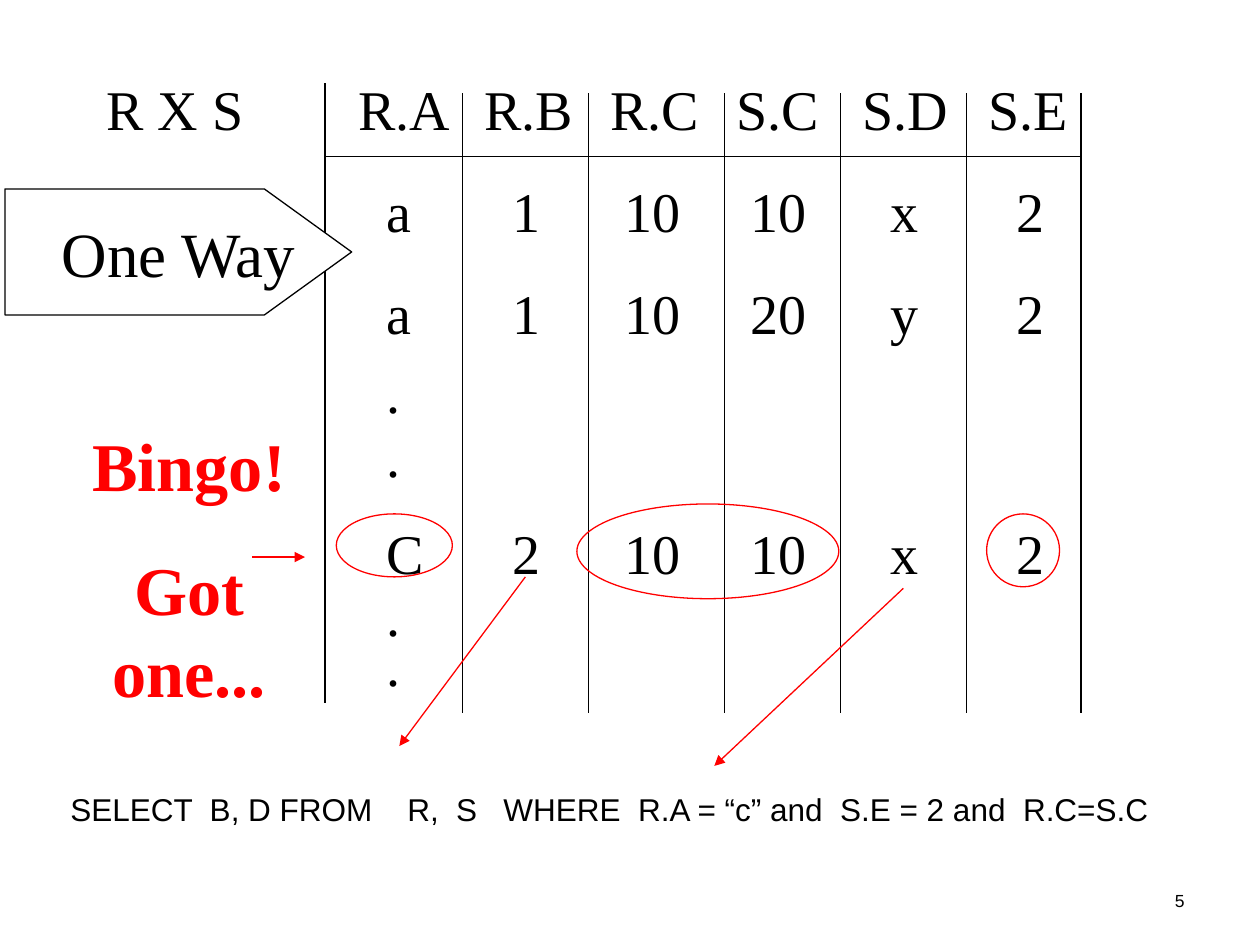
from dataclasses import dataclass

from lxml.etree import SubElement
from pptx import Presentation
from pptx.dml.color import RGBColor
from pptx.enum.shapes import MSO_CONNECTOR, MSO_SHAPE
from pptx.enum.text import MSO_ANCHOR, MSO_AUTO_SIZE, PP_ALIGN
from pptx.oxml.ns import qn
from pptx.util import Cm, Pt


@dataclass(frozen=True)
class Theme:
    """Colours, fonts and type sizes of the slide."""
    ink: RGBColor = RGBColor(0, 0, 0)
    accent: RGBColor = RGBColor(255, 0, 0)
    paper: RGBColor = RGBColor(255, 255, 255)
    serif: str = "Times New Roman"
    sans: str = "Arial"
    number_size: float = 10
    query_size: float = 18
    relation_size: float = 32
    label_size: float = 36
    callout_size: float = 39
    line_width: float = 0.75


THEME = Theme()
TAB_STEP = 2.54
HEADER = ["R X S", "R.A", "R.B", "R.C", "S.C", "S.D", "S.E"]
ROWS = [
    (["a", "1", "10", "10", "x", "2"], 1),
    (["a", "1", "10", "20", "y", "2"], 1),
    (["."], 0.6),
    (["."], 0.4),
    (["C", "2", "10", "10", "x", "2"], 1),
    (["."], 0.3),
    (["."], 0.2),
]
COLUMN_RULES = [9.32, 11.86, 14.61, 16.94, 19.48, 21.79]


def set_tabs(paragraph, positions):
    """Give a paragraph left tab stops at positions in centimetres."""
    tab_list = SubElement(paragraph._p.get_or_add_pPr(), qn("a:tabLst"))
    for position in positions:
        SubElement(tab_list, qn("a:tab"), pos=str(Cm(position)), algn="l")


def write(frame, text, *, size, font=THEME.serif, color=THEME.ink, bold=False,
          align=PP_ALIGN.LEFT, before=0, spacing=1, tabs=()):
    """Write one formatted paragraph, using the frame's empty first one if free."""
    first = frame.paragraphs[0]
    paragraph = frame.add_paragraph() if first.runs else first
    paragraph.alignment = align
    paragraph.space_before = Pt(before)
    paragraph.line_spacing = spacing
    if tabs:
        set_tabs(paragraph, tabs)
    run = paragraph.add_run()
    run.text = text
    run.font.name = font
    run.font.size = Pt(size)
    run.font.bold = bold
    run.font.color.rgb = color


def add_text_frame(slide, left, top, width, height, *, anchor=MSO_ANCHOR.MIDDLE,
                   wrap=True, grow=True):
    """Add a text box and return its frame."""
    frame = slide.shapes.add_textbox(Cm(left), Cm(top), Cm(width), Cm(height)).text_frame
    frame.auto_size = MSO_AUTO_SIZE.SHAPE_TO_FIT_TEXT if grow else MSO_AUTO_SIZE.NONE
    frame.word_wrap = wrap
    frame.vertical_anchor = anchor
    return frame


def add_line(slide, start, end, *, color=THEME.ink, arrow=False):
    """Draw a straight line, optionally ending in an arrowhead."""
    connector = slide.shapes.add_connector(
        MSO_CONNECTOR.STRAIGHT, *map(Cm, start), *map(Cm, end))
    connector.line.color.rgb = color
    connector.line.width = Pt(THEME.line_width)
    if arrow:
        SubElement(connector.line._get_or_add_ln(), qn("a:tailEnd"), type="triangle")
    SubElement(connector._element.spPr, qn("a:effectLst"))


def add_ring(slide, left, top, width, height):
    """Circle matching values with an unfilled ellipse."""
    shape = slide.shapes.add_shape(
        MSO_SHAPE.OVAL, Cm(left), Cm(top), Cm(width), Cm(height))
    shape.shadow.inherit = False
    shape.fill.background()
    shape.line.color.rgb = THEME.accent
    shape.line.width = Pt(THEME.line_width)


def add_pointer(slide, text, left, top, shoulder, tip, bottom):
    """Draw a labelled block that points to the right."""
    builder = slide.shapes.build_freeform(Cm(left), Cm(top))
    corners = [(shoulder, top), (tip, (top + bottom) / 2), (shoulder, bottom), (left, bottom)]
    builder.add_line_segments([(Cm(x), Cm(y)) for x, y in corners], close=True)
    shape = builder.convert_to_shape()
    shape.shadow.inherit = False
    shape.fill.solid()
    shape.fill.fore_color.rgb = THEME.paper
    shape.line.color.rgb = THEME.ink
    shape.line.width = Pt(THEME.line_width)
    frame = shape.text_frame
    frame.word_wrap = False
    frame.vertical_anchor = MSO_ANCHOR.MIDDLE
    write(frame, text, size=THEME.label_size, align=PP_ALIGN.CENTER)


def add_relation(slide):
    """Write the product relation in tabbed columns and rule it."""
    frame = add_text_frame(slide, 1.9, 1.37, 20.75, 12.65)
    header_tabs = [TAB_STEP * column for column in range(2, 8)]
    shifts = [0.56, 0.56, 0.28, 0.28, 0.56, 0.56]
    body_tabs = [tab + shift for tab, shift in zip(header_tabs, shifts)]
    style = {"size": THEME.relation_size, "before": 20}
    write(frame, "\t".join(HEADER), tabs=header_tabs, **style)
    for values, spacing in ROWS:
        write(frame, "\t" + "\t".join(values), tabs=body_tabs, spacing=spacing, **style)
    add_line(slide, (6.55, 3.15), (21.79, 3.15))
    add_line(slide, (6.55, 1.68), (6.55, 14.17))
    for x in COLUMN_RULES:
        add_line(slide, (x, 1.88), (x, 14.38))


def main():
    """Build the slide and save it."""
    presentation = Presentation()
    presentation.slide_width, presentation.slide_height = Cm(25.4), Cm(19.05)
    slide = presentation.slides.add_slide(presentation.slide_layouts[6])

    number = add_text_frame(slide, 18.21, 17.65, 5.92, 1.02, grow=False)
    write(number, "5", size=THEME.number_size, font=THEME.sans, align=PP_ALIGN.RIGHT)

    add_relation(slide)
    for ring in [(19.89, 10.36, 1.47, 1.47), (11.63, 10.16, 5.28, 1.91),
                 (6.78, 10.36, 2.34, 1.27)]:
        add_ring(slide, *ring)
    for start, end in [((10.59, 11.63), (8.05, 15.04)), ((18.21, 11.86), (14.4, 15.44)),
                       ((5.08, 11.23), (6.15, 11.23))]:
        add_line(slide, start, end, color=THEME.accent, arrow=True)

    callout = add_text_frame(slide, 0.74, 9.22, 6.15, 4.42, wrap=False)
    for text in ["Bingo!", "Got one..."]:
        write(callout, text, size=THEME.callout_size, color=THEME.accent, bold=True,
              align=PP_ALIGN.CENTER, before=24.4)

    query = add_text_frame(slide, 1.17, 15.88, 24.23, 0.94, anchor=MSO_ANCHOR.TOP)
    write(query, "SELECT  B, D FROM    R,  S   WHERE  R.A = “c” and  S.E = 2 and  R.C=S.C",
          size=THEME.query_size, font=THEME.sans, before=11.2, spacing=0.9)

    add_pointer(slide, "One Way", left=0.1, top=3.81, shoulder=5.33, tip=7.09, bottom=6.35)
    presentation.save("out.pptx")


if __name__ == "__main__":
    main()
